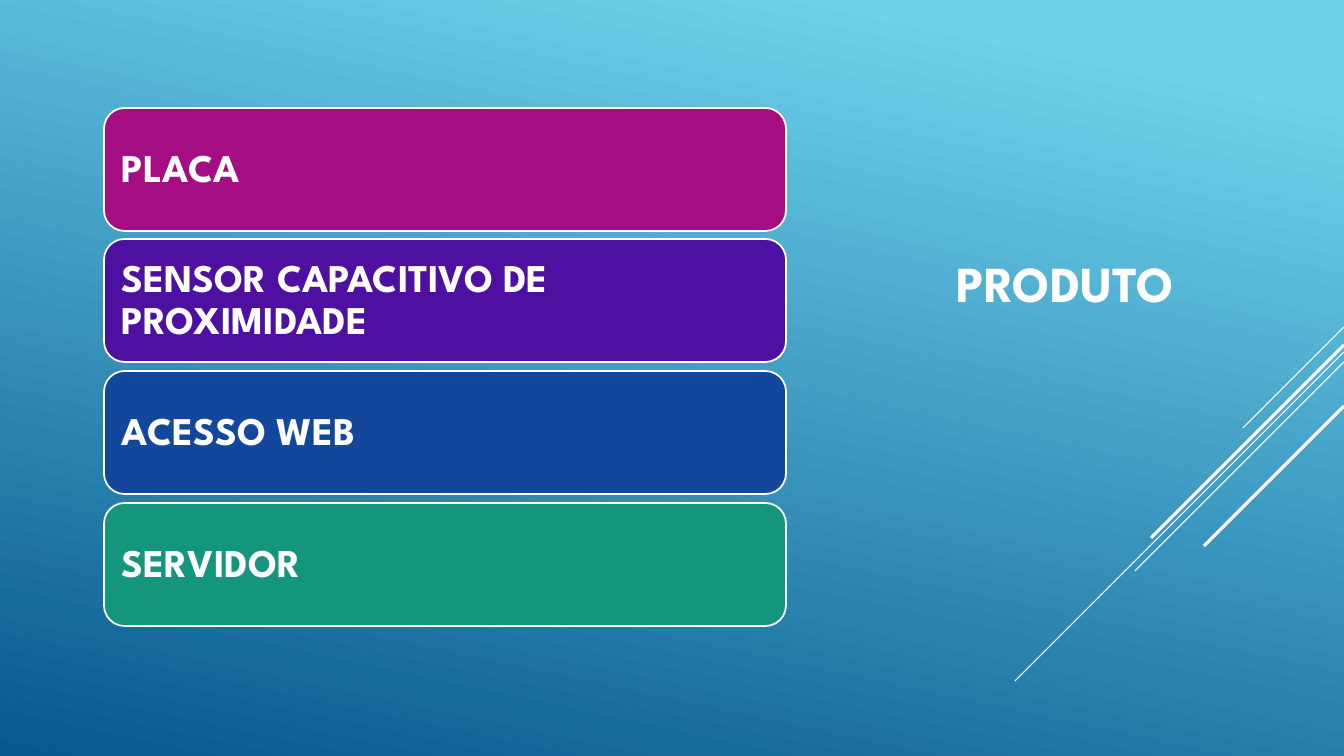
from pptx import Presentation, util as u
from pptx.dml.color import RGBColor
from pptx.enum import shapes, text
from pptx.oxml.ns import qn
from lxml import etree

EMU_PER_PX = 914400 / 100.8
WIDTH, HEIGHT = 1344, 756
FONT = "League Spartan"

WHITE = RGBColor(0xFF, 0xFF, 0xFF)
SKY = RGBColor(0x6E, 0xD2, 0xEB)
OCEAN = RGBColor(0x06, 0x58, 0x8E)
MAGENTA = RGBColor(0xA5, 0x0E, 0x82)
PURPLE = RGBColor(0x4D, 0x10, 0xA0)
BLUE = RGBColor(0x12, 0x47, 0x9B)
GREEN = RGBColor(0x14, 0x96, 0x7C)


def px(*lengths):
    """Turn pixel lengths into a list of EMU lengths."""
    return [u.Emu(round(length * EMU_PER_PX)) for length in lengths]


def write(shape, words, size, spacing=1.0, inset=10):
    frame = shape.text_frame
    frame.word_wrap = True
    frame.vertical_anchor = text.MSO_ANCHOR.MIDDLE
    (margin,) = px(inset)
    frame.margin_left = frame.margin_right = margin
    frame.margin_top = frame.margin_bottom = margin
    paragraph = frame.paragraphs[0]
    paragraph.alignment = text.PP_ALIGN.LEFT
    paragraph.line_spacing = spacing
    run = paragraph.add_run()
    run.text = words
    run.font.name = FONT
    run.font.size = u.Pt(size)
    run.font.bold = True
    run.font.color.rgb = WHITE


deck = Presentation()
deck.slide_width, deck.slide_height = px(WIDTH, HEIGHT)
slide = deck.slides.add_slide(deck.slide_layouts[6])

# Gradient backdrop
backdrop = slide.shapes.add_shape(
    shapes.MSO_SHAPE.RECTANGLE, *px(0, 0, WIDTH, HEIGHT))
backdrop.shadow.inherit = False
backdrop.line.fill.background()
backdrop.fill.gradient()
backdrop.fill.gradient_angle = 258
for stop, color, position in zip(
        backdrop.fill.gradient_stops, (SKY, OCEAN), (0.1, 1)):
    stop.color.rgb = color
    stop.position = position

# Diagonal rays from the right edge: start height, run, line weight
for top, run_length, weight in [
        (327, 101, 0.75), (352, 329, 0.75), (362, 209, 0.75),
        (345, 193, 2.25), (406, 140, 2.25)]:
    ray = slide.shapes.add_connector(
        shapes.MSO_CONNECTOR.STRAIGHT,
        *px(WIDTH, top, WIDTH - run_length, top + run_length))
    ray.line.color.rgb = WHITE
    ray.line.width = u.Pt(weight)
    etree.SubElement(ray.element.spPr, qn("a:effectLst"))

title = slide.shapes.add_textbox(*px(947, 103, 336, 358))
write(title, "PRODUTO", size=36)

# Product parts, stacked evenly
parts = [
    ("PLACA", MAGENTA),
    ("SENSOR CAPACITIVO DE PROXIMIDADE", PURPLE),
    ("ACESSO WEB", BLUE),
    ("SERVIDOR", GREEN),
]
FIRST_TOP, LAST_TOP = 108, 503
for index, (part, color) in enumerate(parts):
    top = FIRST_TOP + (LAST_TOP - FIRST_TOP) * index // (len(parts) - 1)
    bar = slide.shapes.add_shape(
        shapes.MSO_SHAPE.ROUNDED_RECTANGLE, *px(104, top, 682, 123))
    bar.shadow.inherit = False
    bar.fill.solid()
    bar.fill.fore_color.rgb = color
    bar.line.color.rgb = WHITE
    bar.line.width = u.Pt(1.25)
    write(bar, part, size=28, spacing=0.9, inset=12)

deck.save("out.pptx")
